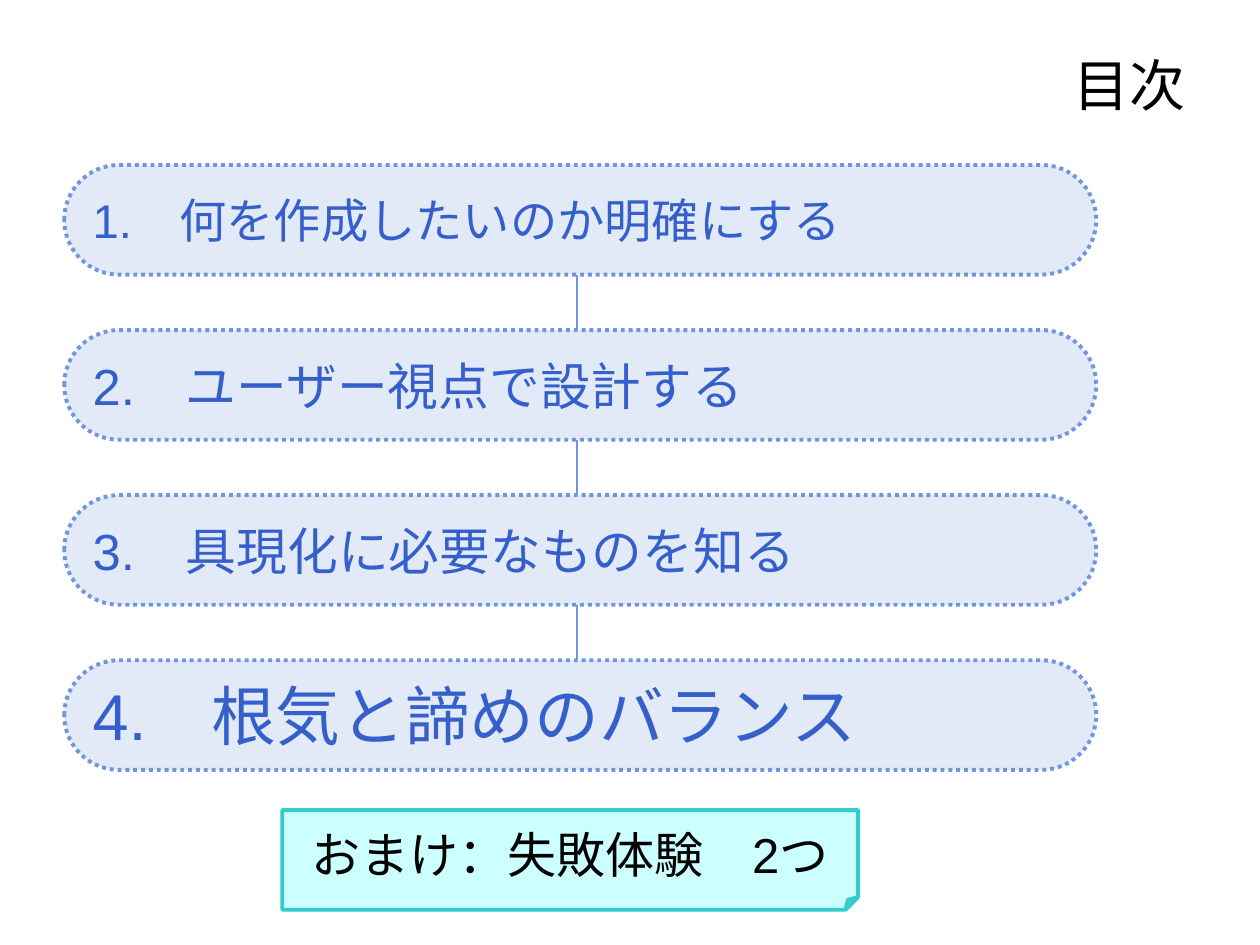
from lxml import etree
from pptx import Presentation
from pptx.dml.color import RGBColor
from pptx.enum.dml import MSO_LINE
from pptx.enum.shapes import MSO_CONNECTOR, MSO_SHAPE
from pptx.enum.text import MSO_ANCHOR, PP_ALIGN
from pptx.oxml.ns import qn
from pptx.util import Inches, Pt

ROUNDED, FOLDED = MSO_SHAPE.ROUNDED_RECTANGLE, MSO_SHAPE.FOLDED_CORNER
STRAIGHT = MSO_CONNECTOR.STRAIGHT
DOTTED = MSO_LINE.ROUND_DOT  # written as sysDot
MIDDLE = MSO_ANCHOR.MIDDLE
LEFT, CENTER, RIGHT = PP_ALIGN.LEFT, PP_ALIGN.CENTER, PP_ALIGN.RIGHT

BLUE = RGBColor(0x70, 0x96, 0xDB)
TEXT_BLUE = RGBColor(0x35, 0x60, 0xCB)
PALE_CYAN = RGBColor(0xCC, 0xFF, 0xFF)
CYAN = RGBColor(0x33, 0xCC, 0xCC)
BLACK = RGBColor(0, 0, 0)

LATIN_FONT, JAPANESE_FONT = "Arial", "Noto Sans CJK JP"

# Agenda entries: heading and text size
TOPICS = [
    ("何を作成したいのか明確にする", 27),
    ("ユーザー視点で設計する", 29),
    ("具現化に必要なものを知る", 29),
    ("根気と諦めのバランス", 37),
]
TOPIC_LEFT, TOPIC_TOP = 0.51, 1.31
TOPIC_WIDTH, TOPIC_HEIGHT, TOPIC_STEP = 8.19, 0.87, 1.31
LINK_X = 4.58


def style_text(frame, runs, size, color, align, wrap=True):
    """Fill a frame with one paragraph of (text, font name) runs."""
    frame.word_wrap = wrap
    frame.vertical_anchor = MIDDLE
    paragraph = frame.paragraphs[0]
    paragraph.alignment = align
    paragraph.font.size = Pt(size)
    paragraph.font.color.rgb = color
    for text, font_name in runs:
        run = paragraph.add_run()
        run.text = text
        run.font.name = font_name
        east_asian = etree.SubElement(run.font._element, qn("a:ea"))
        east_asian.set("typeface", JAPANESE_FONT)


def add_title(slide, text):
    title = slide.shapes.add_textbox(Inches(0.51), Inches(0.35), Inches(9), Inches(0.64))
    style_text(title.text_frame, [(text, LATIN_FONT)], 32, BLACK, RIGHT)


def add_panel(slide, kind, box, corner, fill, outline):
    panel = slide.shapes.add_shape(kind, *(Inches(length) for length in box))
    # Corner size, in XML because the folded corner offers no adjustments
    guides = panel._element.spPr.find(qn("a:prstGeom")).get_or_add_avLst()
    for guide in list(guides):
        guides.remove(guide)
    etree.SubElement(guides, qn("a:gd"), name="adj", fmla=f"val {round(corner * 100000)}")
    panel.shadow.inherit = False
    panel.fill.solid()
    panel.fill.fore_color.rgb = fill
    panel.line.color.rgb = outline
    panel.line.width = Pt(2.25)
    return panel


def add_topic(slide, number, heading, size, top):
    box = (TOPIC_LEFT, top, TOPIC_WIDTH, TOPIC_HEIGHT)
    topic = add_panel(slide, ROUNDED, box, 0.5, BLUE, BLUE)
    topic.line.dash_style = DOTTED
    # 20 % opaque fill
    fill_color = topic._element.spPr.find(qn("a:solidFill"))[0]
    etree.SubElement(fill_color, qn("a:alpha")).set("val", "20000")
    runs = [(f"{number}.", LATIN_FONT), (f"　{heading}", JAPANESE_FONT)]
    style_text(topic.text_frame, runs, size, TEXT_BLUE, LEFT)


def add_link(slide, top, bottom):
    link = slide.shapes.add_connector(
        STRAIGHT, Inches(LINK_X), Inches(top), Inches(LINK_X), Inches(bottom))
    link.line.color.rgb = BLUE
    link.line.width = Pt(0.75)
    etree.SubElement(link._element.spPr, qn("a:effectLst"))


def add_bonus_note(slide, text):
    note = add_panel(slide, FOLDED, (2.24, 6.43, 4.57, 0.79), 0.125, PALE_CYAN, CYAN)
    style_text(note.text_frame, [(text, LATIN_FONT)], 28, BLACK, CENTER, wrap=False)


def main():
    deck = Presentation()
    deck.slide_width, deck.slide_height = Inches(10), Inches(7.5)
    slide = deck.slides.add_slide(deck.slide_layouts[6])

    add_title(slide, "目次")

    # Agenda chain: each topic is linked to the one above
    for index, (heading, size) in enumerate(TOPICS):
        top = TOPIC_TOP + index * TOPIC_STEP
        add_topic(slide, index + 1, heading, size, top)
        if index:
            add_link(slide, top - TOPIC_STEP + TOPIC_HEIGHT, top)

    add_bonus_note(slide, "おまけ：失敗体験　2つ")
    deck.save("out.pptx")


if __name__ == "__main__":
    main()
